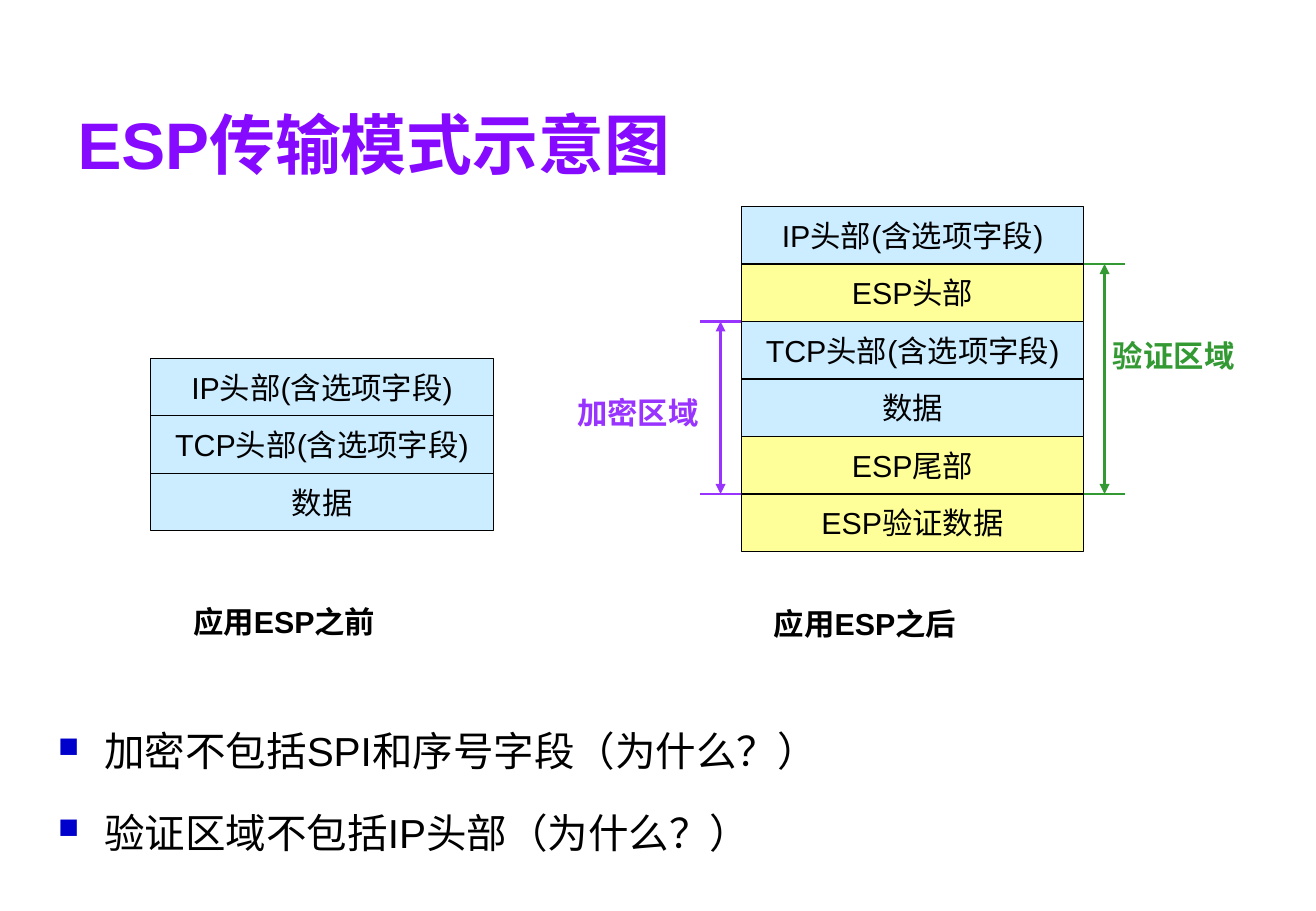
from lxml.etree import SubElement
from pptx import Presentation
from pptx.dml.color import RGBColor
from pptx.enum.shapes import MSO_CONNECTOR, MSO_SHAPE
from pptx.enum.text import MSO_ANCHOR, PP_ALIGN
from pptx.oxml.ns import qn
from pptx.util import Inches, Pt

BLACK = "000000"
BLUE = "CCECFF"
YELLOW = "FFFF99"
GREEN = "339933"
PURPLE = "9933FF"
FIELD_WIDTH = 2.82
FIELD_HEIGHT = 2.84 / 6


def rgb(color):
    return RGBColor.from_string(color)


def style(paragraph, size, color, bold=False):
    font = paragraph.font
    font.name = "Arial"
    font.size = Pt(size)
    font.bold = bold
    font.color.rgb = rgb(color)


def add_label(slide, text, left, top, width, height, color=BLACK,
              size=18, wrap=True, anchor=MSO_ANCHOR.TOP):
    label = slide.shapes.add_textbox(
        Inches(left), Inches(top), Inches(width), Inches(height))
    frame = label.text_frame
    frame.word_wrap = wrap
    frame.vertical_anchor = anchor
    frame.text = text
    style(frame.paragraphs[0], size, color, bold=True)


def add_packet(slide, left, top, fields):
    for row, (text, fill) in enumerate(fields):
        field = slide.shapes.add_shape(
            MSO_SHAPE.RECTANGLE, Inches(left), Inches(top + row * FIELD_HEIGHT),
            Inches(FIELD_WIDTH), Inches(FIELD_HEIGHT))
        field.shadow.inherit = False
        field.fill.solid()
        field.fill.fore_color.rgb = rgb(fill)
        field.line.color.rgb = rgb(BLACK)
        field.line.width = Pt(0.75)
        frame = field.text_frame
        frame.word_wrap = False
        frame.vertical_anchor = MSO_ANCHOR.MIDDLE
        frame.text = text
        frame.paragraphs[0].alignment = PP_ALIGN.CENTER
        style(frame.paragraphs[0], 18, BLACK)


def add_line(slide, x1, y1, x2, y2, color, arrows=False):
    line = slide.shapes.add_connector(
        MSO_CONNECTOR.STRAIGHT, Inches(x1), Inches(y1), Inches(x2), Inches(y2))
    line.line.color.rgb = rgb(color)
    line.line.width = Pt(1.5)
    if arrows:
        outline = line.line._get_or_add_ln()
        for end in ("a:headEnd", "a:tailEnd"):
            SubElement(outline, qn(end), type="triangle")
    SubElement(line._element.spPr, qn("a:effectLst"))


def add_range(slide, left, top, bottom, color):
    right = left + 0.34
    middle = (left + right) / 2
    for y in (top, bottom):
        add_line(slide, left, y, right, y, color)
    add_line(slide, middle, top, middle, bottom, color, arrows=True)


def add_bullets(slide, left, top, width, height, points):
    box = slide.shapes.add_textbox(
        Inches(left), Inches(top), Inches(width), Inches(height))
    frame = box.text_frame
    frame.word_wrap = True
    frame.text = "\n".join(points)
    for index, paragraph in enumerate(frame.paragraphs):
        properties = paragraph._p.get_or_add_pPr()
        properties.set("marL", str(Inches(0.38)))
        properties.set("indent", str(Inches(-0.38)))
        bullet_color = SubElement(properties, qn("a:buClr"))
        SubElement(bullet_color, qn("a:srgbClr"), val="0000CC")
        SubElement(properties, qn("a:buSzPct"), val="70000")
        SubElement(properties, qn("a:buChar"), char="■")
        paragraph.line_spacing = 1.5
        if index:
            paragraph.space_before = Pt(5)
        style(paragraph, 24, BLACK)


def main():
    presentation = Presentation()
    presentation.slide_width = Inches(10.83)
    presentation.slide_height = Inches(7.5)
    slide = presentation.slides.add_slide(presentation.slide_layouts[6])

    add_label(slide, "ESP传输模式示意图", 0.54, 0.13, 8.94, 1.42,
              "850AFF", size=39, anchor=MSO_ANCHOR.BOTTOM)

    add_packet(slide, 1.24, 2.95, [
        ("IP头部(含选项字段)", BLUE),
        ("TCP头部(含选项字段)", BLUE),
        ("数据", BLUE),
    ])
    add_label(slide, "应用ESP之前", 1.49, 4.92, 2.48, 0.4)

    after_left, after_top = 6.1, 1.7
    add_packet(slide, after_left, after_top, [
        ("IP头部(含选项字段)", BLUE),
        ("ESP头部", YELLOW),
        ("TCP头部(含选项字段)", BLUE),
        ("数据", BLUE),
        ("ESP尾部", YELLOW),
        ("ESP验证数据", YELLOW),
    ])
    add_label(slide, "应用ESP之后", 6.27, 4.93, 2.47, 0.4)

    esp_header_top = after_top + FIELD_HEIGHT
    tcp_header_top = after_top + 2 * FIELD_HEIGHT
    esp_trailer_bottom = after_top + 5 * FIELD_HEIGHT
    add_range(slide, after_left + FIELD_WIDTH, esp_header_top,
              esp_trailer_bottom, GREEN)
    add_label(slide, "验证区域", 9.06, 2.73, 1.22, 0.4, GREEN, wrap=False)
    add_range(slide, after_left - 0.34, tcp_header_top,
              esp_trailer_bottom, PURPLE)
    add_label(slide, "加密区域", 4.65, 3.2, 1.22, 0.4, PURPLE, wrap=False)

    add_bullets(slide, 0.38, 5.73, 10.07, 1.65, [
        "加密不包括SPI和序号字段（为什么？）",
        "验证区域不包括IP头部（为什么？）",
    ])
    presentation.save("out.pptx")


if __name__ == "__main__":
    main()
